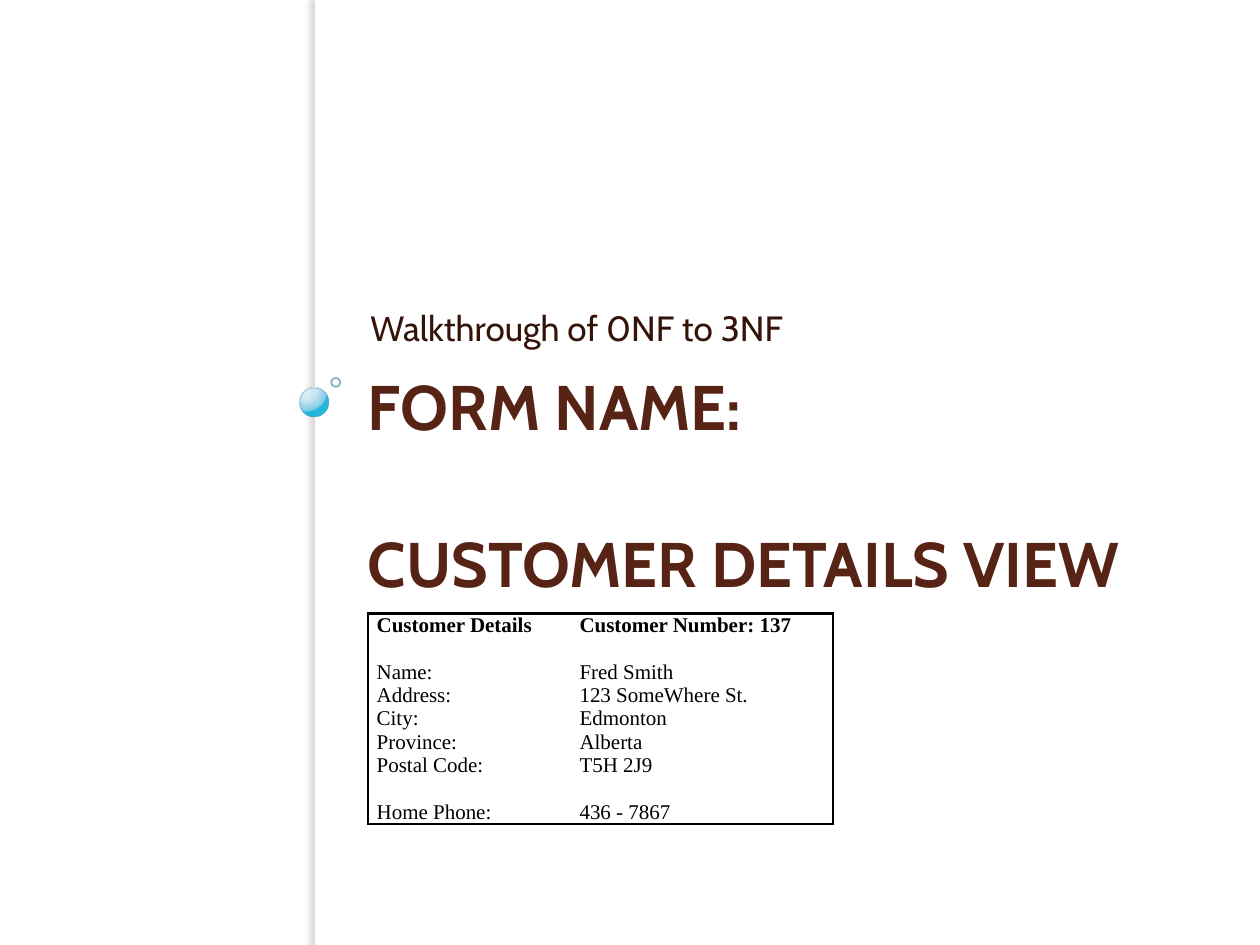
import pptx
import pptx.util
import pptx.dml.color
import pptx.enum.shapes
import pptx.enum.text
import pptx.oxml
import pptx.oxml.ns
from dataclasses import dataclass
from lxml import etree
from pptx.util import Inches, Pt

A = "http://schemas.openxmlformats.org/drawingml/2006/main"
SHAPE = pptx.enum.shapes.MSO_SHAPE
ANCHOR = pptx.enum.text.MSO_ANCHOR


@dataclass(frozen=True)
class Theme:
    font: str = "Cabin"
    table_font: str = "Times New Roman"
    title: str = "572314"
    subtitle: str = "361309"
    ink: str = "000000"
    white: str = "FFFFFF"
    shadow: str = "736F63"
    ball_line: str = "308EA5"
    ring_line: str = "318093"
    # position, colour and opacity, in percent
    ball: tuple = ((0, "DAF4FF", 95), (50, "C3E3F0", 90),
                   (95, "6BC7E8", 88), (100, "00ABD5", 85))
    title_size: int = 36
    subtitle_size: int = 20
    table_size: int = 12


T = Theme()

CUSTOMER = [
    ("Customer Details", "Customer Number: 137"),
    ("", ""),
    ("Name:", "Fred Smith"),
    ("Address:", "123 SomeWhere St."),
    ("City:", "Edmonton"),
    ("Province:", "Alberta"),
    ("Postal Code:", "T5H 2J9"),
    ("", ""),
    ("Home Phone:", "436 - 7867"),
]


def rgb(color):
    return pptx.dml.color.RGBColor.from_string(color)


def xml(body):
    """Parse one DrawingML element."""
    tag, rest = body[1:].split(" ", 1)
    return pptx.oxml.parse_xml(f'<{tag} xmlns:a="{A}" {rest}')


def color_xml(color, alpha):
    return f'<a:srgbClr val="{color}"><a:alpha val="{alpha * 1000}"/></a:srgbClr>'


def set_font(p, name, size, color, bold=False):
    p.font.name, p.font.size, p.font.bold = name, Pt(size), bold
    p.font.color.rgb = rgb(color)


def add_shape(s, kind, x, y, w, h):
    sp = s.shapes.add_shape(kind, Inches(x), Inches(y), Inches(w), Inches(h))
    sp.shadow.inherit = False
    sp.fill.background()
    sp.line.fill.background()
    return sp


def set_line(sp, color, width, alpha):
    sp.line.color.rgb = rgb(color)
    sp.line.width = Pt(width)
    clr = sp.line._ln.find(f".//{{{A}}}srgbClr")
    etree.SubElement(clr, f"{{{A}}}alpha", val=str(alpha * 1000))


def add_bar(s):
    bar = add_shape(s, SHAPE.RECTANGLE, 2.5, 0, 0.08, 7.5)
    bar.fill.solid()
    bar.fill.fore_color.rgb = rgb(T.white)
    effects = bar._element.spPr.find(f"{{{A}}}effectLst")
    effects.append(xml(
        f'<a:outerShdw blurRad="{Pt(3)}" dist="{Pt(3)}" dir="10800000" '
        f'algn="tl" rotWithShape="0">{color_xml(T.shadow, 25)}</a:outerShdw>'))


def add_bubbles(s):
    ball = add_shape(s, SHAPE.OVAL, 2.38, 3.08, 0.23, 0.23)
    stops = "".join(f'<a:gs pos="{pos * 1000}">{color_xml(color, alpha)}</a:gs>'
                    for pos, color, alpha in T.ball)
    no_fill = ball._element.spPr.find(f"{{{A}}}noFill")
    ball._element.spPr.replace(no_fill, xml(
        f'<a:gradFill rotWithShape="1"><a:gsLst>{stops}</a:gsLst>'
        '<a:path path="circle"><a:fillToRect l="25000" t="12000" r="75000" '
        'b="88000"/></a:path></a:gradFill>'))
    set_line(ball, T.ball_line, 0.16, 60)
    ring = add_shape(s, SHAPE.OVAL, 2.63, 3, 0.07, 0.07)
    set_line(ring, T.ring_line, 1, 60)


def fill_placeholder(sp, text, box, anchor, spacing):
    """Place a one-paragraph placeholder and return its paragraph."""
    sp.left, sp.top, sp.width, sp.height = map(Inches, box)
    tf = sp.text_frame
    tf.text = text
    tf.word_wrap = True
    tf.auto_size = pptx.enum.text.MSO_AUTO_SIZE.NONE
    tf.vertical_anchor = anchor
    p = tf.paragraphs[0]
    p.alignment = pptx.enum.text.PP_ALIGN.LEFT
    p.line_spacing = Pt(spacing)
    p.space_before = Pt(0)
    return p


def format_cell(cell, text, bold, edges):
    cell.margin_left = cell.margin_right = Inches(0.07)
    cell.margin_top = cell.margin_bottom = 0
    cell.text = text
    p = cell.text_frame.paragraphs[0]
    set_font(p, T.table_font, T.table_size, T.ink, bold)
    if not text:  # keeps the blank row as low as the others
        p._p.append(xml(f'<a:endParaRPr sz="{T.table_size * 100}">'
                        f'<a:latin typeface="{T.table_font}"/></a:endParaRPr>'))
    tcPr = cell._tc.get_or_add_tcPr()
    for side in "LRTB":
        if side in edges:
            tcPr.append(xml(f'<a:ln{side} w="{Pt(1.5)}"><a:solidFill>'
                            f'<a:srgbClr val="{T.ink}"/></a:solidFill></a:ln{side}>'))
        else:
            tcPr.append(xml(f'<a:ln{side} w="0"><a:noFill/></a:ln{side}>'))
    cell.fill.background()


def add_customer_table(s):
    row_h, widths = 0.18, (1.61, 2.08)
    last = len(CUSTOMER) - 1
    table = s.shapes.add_table(len(CUSTOMER), 2, Inches(2.92), Inches(4.87),
                               Inches(sum(widths)),
                               Inches(row_h * len(CUSTOMER))).table
    table.first_row = table.horz_banding = False
    for col, width in zip(table.columns, widths):
        col.width = Inches(width)
    for r, values in enumerate(CUSTOMER):
        for c, text in enumerate(values):
            edges = "LR"[c] + ("T" if r == 0 else "") + ("B" if r == last else "")
            format_cell(table.cell(r, c), text, r == 0, edges)


def main():
    prs = pptx.Presentation()
    prs.slide_width, prs.slide_height = Inches(10), Inches(7.5)
    s = prs.slides.add_slide(prs.slide_layouts[2])  # section header

    # Side decoration
    add_bar(s)
    add_bubbles(s)

    # Title and subtitle
    p = fill_placeholder(s.shapes.title, "FORM NAME:\v\vCUSTOMER DETAILS VIEW",
                         (2.82, 2.84, 7, 2.5), ANCHOR.TOP, 45)
    set_font(p, T.font, T.title_size, T.title, True)
    p = fill_placeholder(s.placeholders[1], "Walkthrough of 0NF to 3NF",
                         (2.82, 1.17, 7, 1.65), ANCHOR.BOTTOM, 23)
    set_font(p, T.font, T.subtitle_size, T.subtitle)
    p._p.get_or_add_pPr().set("marL", str(Inches(0.02)))

    # Customer form
    add_customer_table(s)
    prs.save("out.pptx")


if __name__ == "__main__":
    main()
